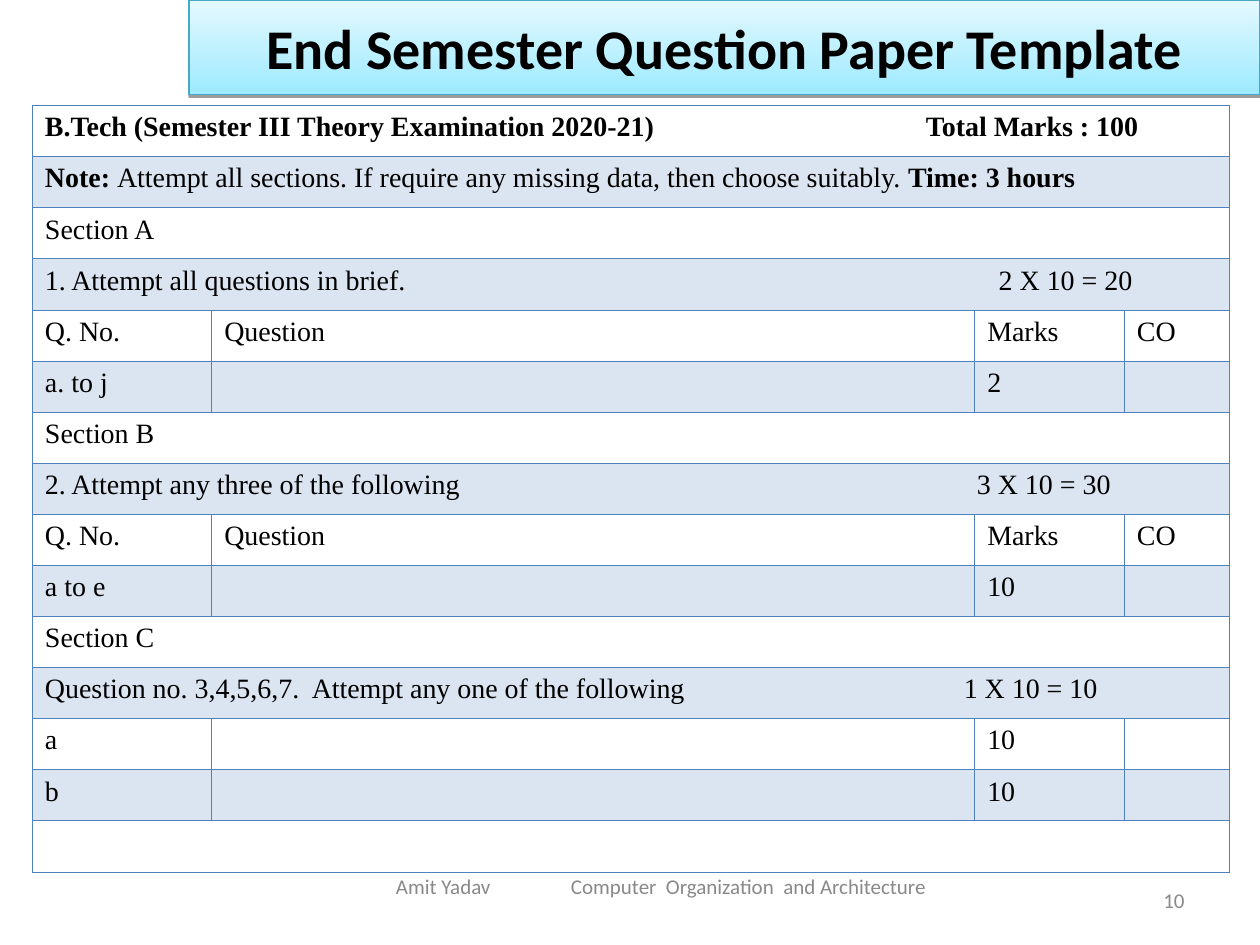
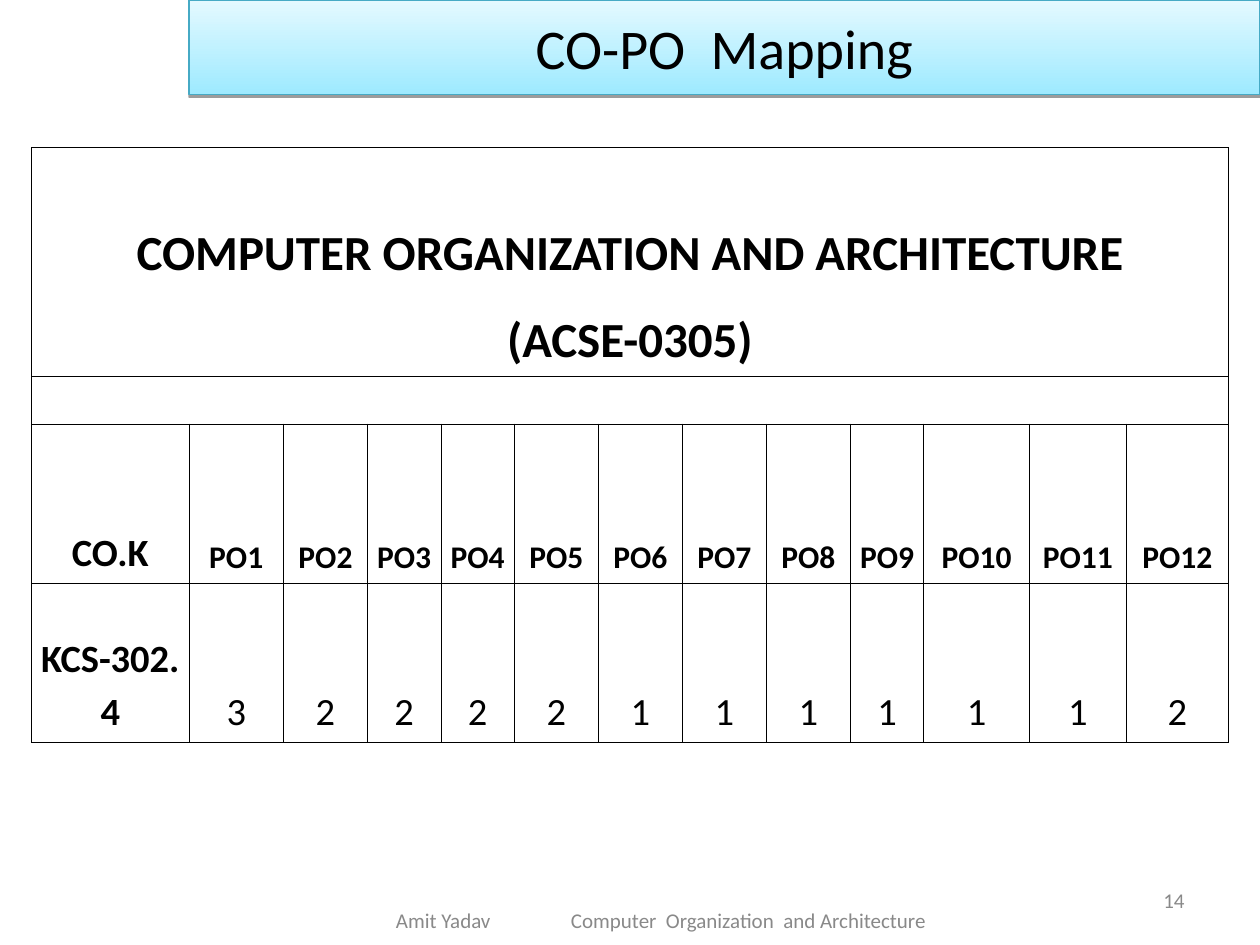
from lxml import etree
from pptx import Presentation
from pptx.dml.color import RGBColor
from pptx.enum import text
from pptx.oxml.ns import qn
from pptx.util import Pt

BLACK, GREY, BLUE = "000000", "898989", "4F81BD"
BAND_BOTTOM, BAND_TOP, BAND_LINE = "9EEAFF", "E4F9FF", "46AAC5"
SANS, SERIF = "Calibri", "Times New Roman"
LEFT, CENTER, RIGHT = text.PP_ALIGN.LEFT, text.PP_ALIGN.CENTER, text.PP_ALIGN.RIGHT
MIDDLE, BOTTOM = text.MSO_ANCHOR.MIDDLE, text.MSO_ANCHOR.BOTTOM
TITLE_BOX = (108, 0, 612, 54)
NUMBER_BOX = (516, 500, 168, 29)


def rgb(color):
    return RGBColor.from_string(color)


def sub(parent, tag, **attrs):
    return etree.SubElement(parent, qn(tag), {k: str(v) for k, v in attrs.items()})


def write(tf, paras, size=16, font=SANS, color=BLACK, bold=False, align=LEFT,
          spacing=None, after=None, tab=None):
    paras = [paras] if isinstance(paras, str) else paras
    for i, runs in enumerate(paras):
        p = tf.paragraphs[0] if i == 0 else tf.add_paragraph()
        p.alignment = align
        if spacing:
            p.line_spacing = spacing
        if after is not None:
            p.space_after = Pt(after)
        if tab:
            tabs = sub(p._p.get_or_add_pPr(), "a:tabLst")
            sub(tabs, "a:tab", pos=Pt(tab), algn="l")
        if not runs:
            sub(p._p, "a:endParaRPr", sz=1200)
            continue
        for words, strong in [(runs, bold)] if isinstance(runs, str) else runs:
            r = p.add_run()
            r.text = words
            r.font.size, r.font.name, r.font.bold = Pt(size), font, strong
            r.font.color.rgb = rgb(color)


def add_text(slide, box, words, margin_left=7.2, **fmt):
    tf = slide.shapes.add_textbox(*map(Pt, box)).text_frame
    tf.word_wrap = True
    tf.vertical_anchor = MIDDLE
    tf.margin_left = Pt(margin_left)
    write(tf, words, size=12, color=GREY, **fmt)


def add_title(slide, box, words, bold):
    sp = slide.shapes.title
    sp.left, sp.top, sp.width, sp.height = map(Pt, box)
    sp.fill.gradient()
    sp.fill.gradient_angle = 90
    for stop, color, place in zip(sp.fill.gradient_stops, (BAND_BOTTOM, BAND_TOP), (0, 1)):
        stop.color.rgb = rgb(color)
        stop.position = place
    sp.line.color.rgb = rgb(BAND_LINE)
    sp.line.width = Pt(0.75)
    effects = sub(sp._element.spPr, "a:effectLst")
    shadow = sub(effects, "a:outerShdw", blurRad=0, dist=Pt(1.6), dir=5400000, rotWithShape=0)
    sub(sub(shadow, "a:srgbClr", val=BLACK), "a:alpha", val=38000)
    tf = sp.text_frame
    tf.auto_size = text.MSO_AUTO_SIZE.NONE
    tf.vertical_anchor = MIDDLE
    write(tf, words, size=32, bold=bold, align=CENTER)


def add_page(prs, title, number, footer_top, bold=False):
    slide = prs.slides.add_slide(prs.slide_layouts[5])
    add_title(slide, TITLE_BOX, title, bold)
    add_text(slide, NUMBER_BOX, number, align=RIGHT)
    add_text(slide, (180, footer_top, 396, 29),
             "Amit Yadav\tComputer  Organization  and Architecture",
             margin_left=46.3, tab=100)
    return slide


def add_grid(slide, left, top, widths, heights):
    frame = slide.shapes.add_table(len(heights), len(widths), Pt(left), Pt(top),
                                   Pt(sum(widths)), Pt(sum(heights)))
    table = frame.table
    table.first_row = table.horz_banding = False
    for col, width in zip(table.columns, widths):
        col.width = Pt(width)
    for row, height in zip(table.rows, heights):
        row.height = Pt(height)
    return table


def style_cell(cell, line, sides="LRTB", tint=None, heavy=""):
    tc_pr = cell._tc.get_or_add_tcPr()
    for side in "LRTB":
        width = 0.96 if side in heavy else 0.45
        ln = sub(tc_pr, "a:ln" + side, w=Pt(width))
        if side in sides:
            sub(sub(ln, "a:solidFill"), "a:srgbClr", val=line)
        else:
            sub(ln, "a:noFill")
    if tint:
        cell.fill.solid()
        cell.fill.fore_color.rgb = rgb(tint)
        sub(tc_pr.find(qn("a:solidFill"))[0], "a:alpha", val=20000)
    else:
        cell.fill.background()


def add_question_paper(slide, left, top):
    header = ["Q. No.", "Question", "Marks", "CO"]
    rows = [
        ("B.Tech (Semester III Theory Examination 2020-21)\tTotal Marks : 100", 503.4),
        ([[("Note: ", True),
           ("Attempt all sections. If require any missing data, then choose suitably. ", False),
           ("Time: 3 hours", True)]], None),
        ("Section A", None),
        ("1. Attempt all questions in brief.\t2 X 10 = 20", 545),
        header,
        ["a. to j", "", "2", ""],
        ("Section B", None),
        ("2. Attempt any three of the following\t3 X 10 = 30", 532.5),
        header,
        ["a to e", "", "10", ""],
        ("Section C", None),
        ("Question no. 3,4,5,6,7.  Attempt any one of the following\t1 X 10 = 10", 525),
        ["a", "", "10", ""],
        ["b", "", "10", ""],
        ("", None),
    ]
    table = add_grid(slide, left, top, [102.5, 436, 85.5, 60], [29.2] * len(rows))
    for i, row in enumerate(rows):
        cells = list(table.rows[i].cells)
        for cell in cells:
            style_cell(cell, BLUE, tint=BLUE if i % 2 else None,
                       heavy={0: "B", 1: "T"}.get(i, ""))
        if isinstance(row, tuple):
            cells[0].merge(cells[-1])
            words, tab = row
            write(cells[0].text_frame, words, font=SERIF, bold=i == 0, tab=tab)
        else:
            for cell, words in zip(cells, row):
                write(cell.text_frame, words, font=SERIF)


def add_mapping(slide, left, top):
    levels = "3 2 2 2 2 1 1 1 1 1 1 2".split()
    outcomes = [f"PO{n}" for n in range(1, len(levels) + 1)]
    widths = [90, 54, 48, 42, 42, 48, 48, 48, 48, 42, 60.4, 55.4, 58.2]
    rows = [
        [["COMPUTER ORGANIZATION AND ARCHITECTURE", "(ACSE-0305)"]] + [""] * len(levels),
        [""] * len(widths),
        ["CO.K"] + outcomes,
        ["KCS-302.4"] + levels,
    ]
    table = add_grid(slide, left, top, widths, [131, 27, 91, 91])
    last = len(widths) - 1
    for i, row in enumerate(rows):
        for j, words in enumerate(row):
            cell = table.cell(i, j)
            sides = "LRTB"
            if i == 1:
                sides = "TB" + "L" * (j == 0) + "R" * (j == last)
            style_cell(cell, BLACK, sides)
            cell.vertical_anchor = BOTTOM
            cell.margin_left = cell.margin_right = Pt(5)
            if i == 0 and j > 0:
                continue
            if not words:
                write(cell.text_frame, words)
                continue
            level = i == 3 and j > 0
            size = 28 if i == 0 else 18 if i == 2 and j > 0 else 22
            write(cell.text_frame, words, size=size, bold=not level, align=CENTER,
                  spacing=1.15, after=0 if level else 10)
    table.cell(0, 0).merge(table.cell(0, last))


def main():
    prs = Presentation()
    prs.slide_width, prs.slide_height = Pt(720), Pt(540)
    paper = add_page(prs, "End Semester Question Paper Template", "10", 492, bold=True)
    add_question_paper(paper, 18.5, 60.3)
    mapping = add_page(prs, "CO-PO  Mapping", "14", 511)
    add_mapping(mapping, 18, 84.3)
    prs.save("out.pptx")


if __name__ == "__main__":
    main()
